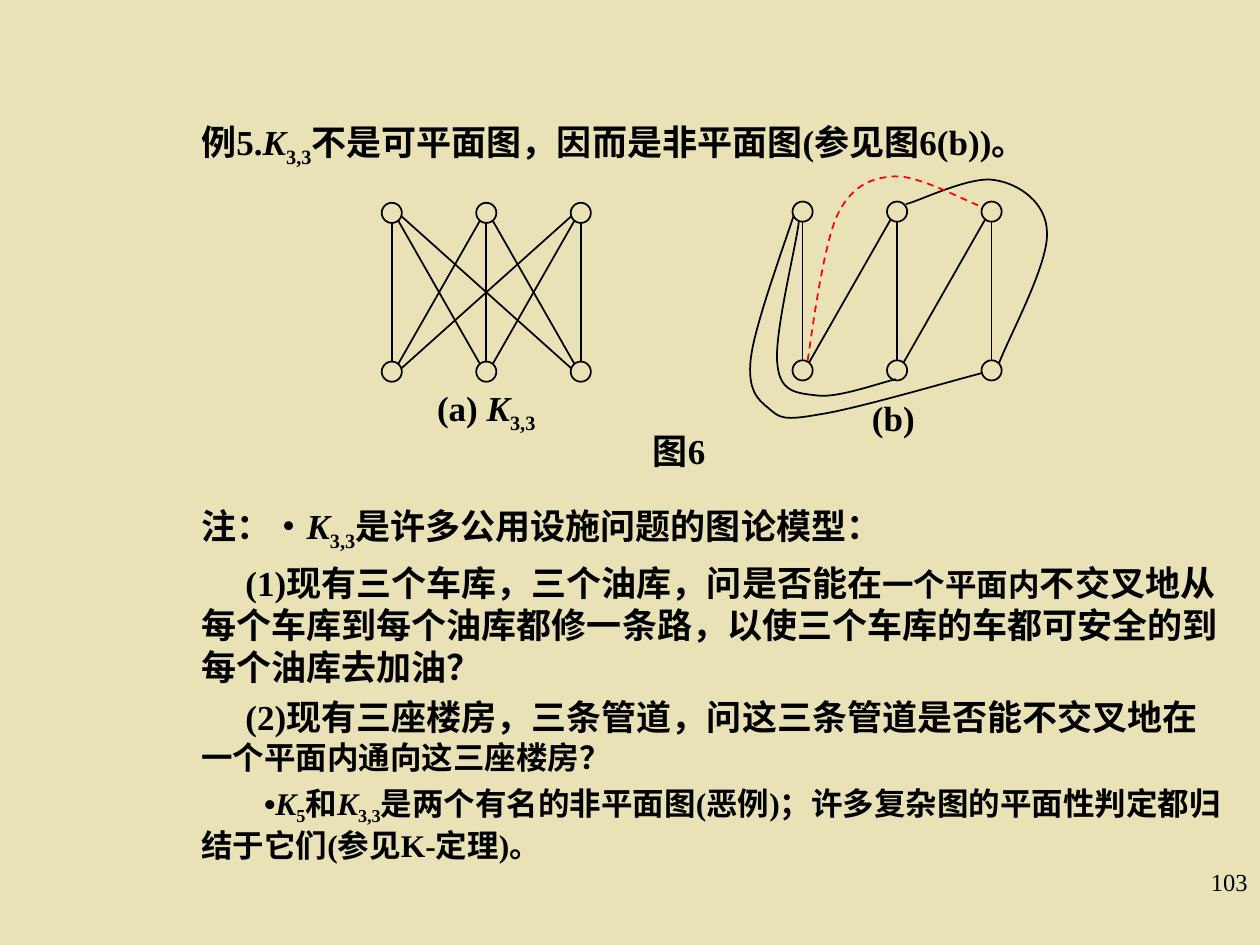
from lxml import etree
from pptx import Presentation
from pptx.dml.color import RGBColor
from pptx.enum.dml import MSO_LINE_DASH_STYLE as DASH
from pptx.enum.shapes import MSO_CONNECTOR as CONN, MSO_SHAPE as SHAPE
from pptx.enum.text import MSO_ANCHOR as ANCHOR, PP_ALIGN as ALIGN
from pptx.oxml.ns import qn
from pptx.util import Inches, Pt


def color(value):
    return RGBColor.from_string(value)


def add_runs(p, runs, size, bold=True):
    for text, style in runs:
        r = p.add_run()
        r.text = text
        r.font.size = Pt(18 if style == "small" else size)
        r.font.name = "Arial" if style == "bullet" else "Times New Roman"
        r.font.bold = bold
        r.font.italic = style == "italic"
        r.font.color.rgb = color("000000")
        if style == "sub":
            r._r.get_or_add_rPr().set("baseline", "-25000")


prs = Presentation()
prs.slide_width, prs.slide_height = Inches(10), Inches(7.5)
s = prs.slides.add_slide(prs.slide_layouts[6])
s.background.fill.solid()
s.background.fill.fore_color.rgb = color("E9E2B6")

K33 = [("K", "italic"), ("3,3", "sub")]
paragraphs = [
    (20, 0, 0, [("例5.", ""), *K33,
                ("不是可平面图，因而是非平面图(参见图6(b))。", "")]),
    (20, 192, 0, [("注：", ""), ("•", "bullet"), *K33,
                  ("是许多公用设施问题的图论模型：", "")]),
    (20, 5, 0.35, [("(1)", ""), ("现有三个车库，三个油库，问是否能在", ""),
                   ("一个平面内", "small"),
                   ("不交叉地从每个车库到每个油库都修一条路，以使三个车库的车都可安全的到每个油库去加油？", "")]),
    (20, 5, 0.35, [("(2)", ""), ("现有三座楼房，三条管道，问这三条管道是否能不交叉地在", ""),
                   ("一个平面内通向这三座楼房？", "small")]),
    (18, 4.5, 0.5, [("•", "bullet"), ("K", "italic"), ("5", "sub"), ("和", ""), *K33,
                    ("是两个有名的非平面图(恶例)；许多复杂图的平面性判定都归结于它们(参见K-定理)。", "")]),
]
tf = s.shapes.add_textbox(Inches(1.5), Inches(0.91), Inches(8.33), Inches(6.17)).text_frame
tf.word_wrap = True
for i, (size, before, indent, runs) in enumerate(paragraphs):
    p = tf.add_paragraph() if i else tf.paragraphs[0]
    p.space_before = Pt(before)
    p._p.get_or_add_pPr().set("indent", str(Inches(indent)))
    add_runs(p, runs, size)

tf = s.shapes.add_textbox(Inches(7.92), Inches(6.83), Inches(2.08), Inches(0.5)).text_frame
tf.word_wrap = True
tf.paragraphs[0].alignment = ALIGN.RIGHT
add_runs(tf.paragraphs[0], [("103", "")], 14, bold=False)

captions = [
    (3.36, 3.07, 1, 0.38, [("(a) ", ""), *K33]),
    (5.11, 3.41, 0.56, 0.33, [("图6", "")]),
    (6.59, 3.15, 1, 0.33, [("(b)", "")]),
]
for x, y, w, h, runs in captions:
    tf = s.shapes.add_textbox(Inches(x), Inches(y), Inches(w), Inches(h)).text_frame
    tf.margin_left = tf.margin_right = tf.margin_top = tf.margin_bottom = 0
    tf.vertical_anchor = ANCHOR.MIDDLE
    tf.paragraphs[0].alignment = ALIGN.CENTER
    add_runs(tf.paragraphs[0], runs, 20)

radius, step, drop = 0.08, 0.75, 1.26
edge_offsets = [(0, 0.08), (0.05, 0.06), (0.08, 0.03)]
graphs = [
    (3.11, 1.69, [(i, j) for i in range(3) for j in range(3)]),
    (6.37, 1.68, [(0, 0), (1, 1), (2, 2), (1, 0), (2, 1)]),
]
for left, top, edges in graphs:
    for i in range(3):
        for y in (top, top + drop):
            sp = s.shapes.add_shape(SHAPE.OVAL, Inches(left + i * step - radius),
                                    Inches(y - radius), Inches(2 * radius), Inches(2 * radius))
            sp.shadow.inherit = False
            sp.fill.background()
            sp.line.color.rgb = color("000000")
            sp.line.width = Pt(1)
    for i, j in edges:
        dx, dy = edge_offsets[abs(j - i)]
        if j < i:
            dx = -dx
        line = s.shapes.add_connector(CONN.STRAIGHT,
                                      Inches(left + i * step + dx), Inches(top + dy),
                                      Inches(left + j * step - dx), Inches(top + drop - dy))
        line.line.color.rgb = color("000000")
        line.line.width = Pt(1)
        etree.SubElement(line._element.spPr, qn("a:effectLst"))

curves = [
    ("000000", [(7.19, 1.62), (7.31, 1.59), (7.71, 1.39), (7.9, 1.43), (8.09, 1.46),
                (8.31, 1.61), (8.31, 1.85), (8.32, 2.1), (8.01, 2.67), (7.93, 2.88)]),
    ("000000", [(6.34, 1.76), (6.32, 1.95), (6.14, 2.66), (6.17, 2.89), (6.19, 3.12),
                (6.33, 3.12), (6.49, 3.14), (6.65, 3.16), (6.98, 3.04), (7.11, 3.01)]),
    ("FF0000", [(6.41, 2.86), (6.44, 2.67), (6.53, 1.97), (6.64, 1.72), (6.75, 1.48),
                (6.91, 1.41), (7.1, 1.4), (7.29, 1.39), (7.65, 1.59), (7.79, 1.64)]),
    ("000000", [(6.3, 1.71), (6.24, 1.9), (5.99, 2.58), (5.96, 2.84), (5.93, 3.09),
                (6.01, 3.17), (6.1, 3.24), (6.19, 3.32), (6.22, 3.34), (6.5, 3.29),
                (6.78, 3.25), (7.53, 3.03), (7.8, 2.96)]),
]
for stroke, points in curves:
    start, *rest = [(Inches(x), Inches(y)) for x, y in points]
    builder = s.shapes.build_freeform(*start)
    builder.add_line_segments(rest, close=False)
    sp = builder.convert_to_shape()
    outline = sp._element.spPr.find(".//" + qn("a:path"))
    segments = outline.findall(qn("a:lnTo"))
    for i in range(0, len(segments), 3):
        bezier = etree.SubElement(outline, qn("a:cubicBezTo"))
        for segment in segments[i:i + 3]:
            bezier.append(segment[0])
            outline.remove(segment)
    sp.shadow.inherit = False
    sp.fill.background()
    sp.line.color.rgb = color(stroke)
    sp.line.width = Pt(1)
    if stroke == "FF0000":
        sp.line.dash_style = DASH.DASH

prs.save("out.pptx")
